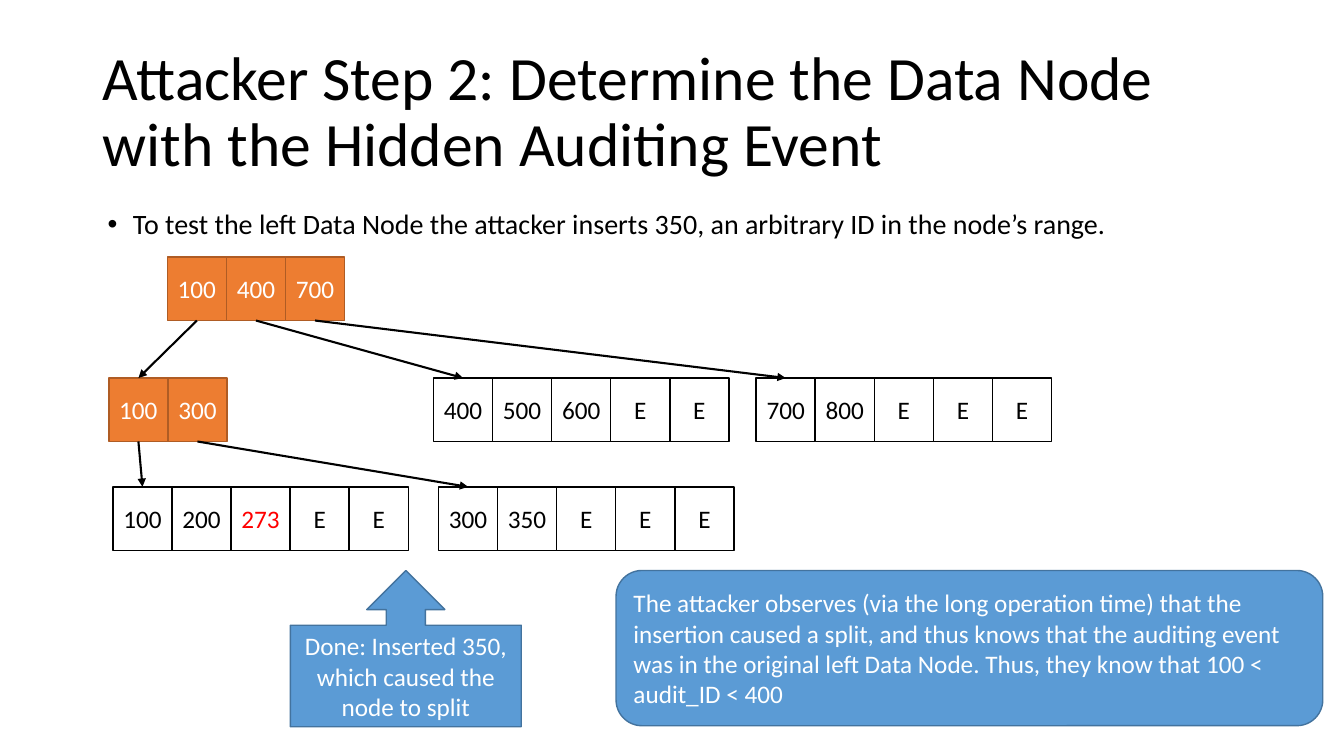
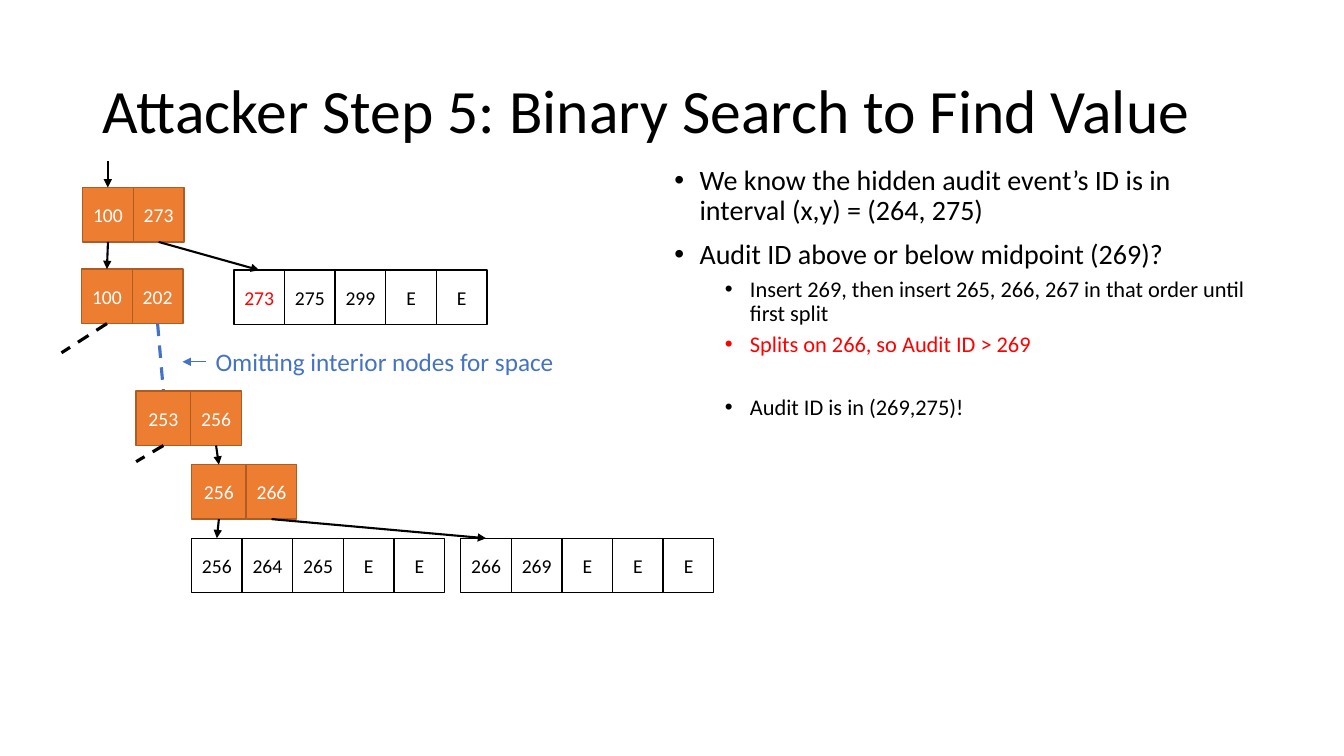
from dataclasses import dataclass

from lxml import etree
from pptx import Presentation
from pptx.dml import color
from pptx.enum import dml, shapes, text
from pptx.oxml import ns
from pptx.util import Inches, Pt

FONT = "Calibri"
BLACK, WHITE, RED = "000000", "FFFFFF", "FF0000"
ORANGE, RUST = "ED7D31", "AF5C24"
BLUE, NAVY, ROYAL = "5B9BD5", "43739E", "4472C4"
RECT = shapes.MSO_SHAPE.RECTANGLE
LEFT, CENTER = text.PP_ALIGN.LEFT, text.PP_ALIGN.CENTER
HIDDEN = "273"


@dataclass
class Scale:
    """Cell width, cell height and text size of one tree."""
    w: float
    h: float
    size: int


@dataclass
class Node:
    x: float
    y: float
    keys: str
    leaf: bool = True
    wide: float = 0  # extra width of the first cell


@dataclass
class Item:
    words: str
    level: int = 0
    tint: str = BLACK
    gap: float = 0


@dataclass
class Line:
    start: tuple[float, float]
    end: tuple[float, float]
    tint: str = BLACK
    width: float = 1.5
    dash: bool = False
    head: bool = True


def rgb(code: str) -> color.RGBColor:
    return color.RGBColor.from_string(code)


def style(para, size: float, tint: str) -> None:
    font = para.font
    font.name, font.size = FONT, Pt(size)
    font.color.rgb = rgb(tint)


def add_text(slide, box: tuple, words: str, size: float, tint: str = BLACK):
    frame = slide.shapes.add_textbox(*map(Inches, box)).text_frame
    frame.word_wrap = True
    para = frame.paragraphs[0]
    para.text = words
    style(para, size, tint)
    return frame


def add_title(slide, words: str) -> None:
    frame = add_text(slide, (0.92, 0.4, 11.5, 1.45), words, 44)
    frame.vertical_anchor = text.MSO_ANCHOR.MIDDLE
    frame.paragraphs[0].line_spacing = 0.9


def add_list(slide, box: tuple, items: list[Item]) -> None:
    frame = slide.shapes.add_textbox(*map(Inches, box)).text_frame
    frame.word_wrap = True
    for i, item in enumerate(items):
        para = frame.add_paragraph() if i else frame.paragraphs[0]
        para.text = item.words
        para.level = item.level
        props = para._p.get_or_add_pPr()
        props.set("marL", str(Inches(0.25 + 0.5 * item.level)))
        props.set("indent", str(Inches(-0.25)))
        etree.SubElement(props, ns.qn("a:buFont")).set("typeface", "Arial")
        etree.SubElement(props, ns.qn("a:buChar")).set("char", "•")
        para.line_spacing = 0.9
        if i:
            para.space_before = Pt(item.gap or (5 if item.level else 10))
        style(para, 16 if item.level else 20, item.tint)


def add_box(slide, kind, box: tuple, words: str, size: float, fill: str,
            edge: str, tint: str = WHITE, align=CENTER, wrap: bool = True) -> None:
    shape = slide.shapes.add_shape(kind, *map(Inches, box))
    shape.shadow.inherit = False
    shape.fill.solid()
    shape.fill.fore_color.rgb = rgb(fill)
    shape.line.color.rgb = rgb(edge)
    shape.line.width = Pt(1)
    frame = shape.text_frame
    frame.word_wrap = wrap
    frame.vertical_anchor = text.MSO_ANCHOR.MIDDLE
    para = frame.paragraphs[0]
    para.text = words
    para.alignment = align
    style(para, size, tint)


def add_line(slide, line: Line) -> None:
    ends = map(Inches, (*line.start, *line.end))
    link = slide.shapes.add_connector(shapes.MSO_CONNECTOR.STRAIGHT, *ends)
    link.line.color.rgb = rgb(line.tint)
    link.line.width = Pt(line.width)
    if line.dash:
        link.line.dash_style = dml.MSO_LINE.DASH
    if line.head:
        tail = etree.SubElement(link.line._get_or_add_ln(), ns.qn("a:tailEnd"))
        tail.set("type", "triangle")
    etree.SubElement(link._element.spPr, ns.qn("a:effectLst"))


def cell(node: Node, i: int, scale: Scale) -> tuple[float, float]:
    """Left edge and width of cell i."""
    if i == 0:
        return node.x, scale.w + node.wide
    return node.x + node.wide + i * scale.w, scale.w


def foot(node: Node, i: int, scale: Scale) -> tuple[float, float]:
    """Bottom centre of cell i."""
    left, width = cell(node, i, scale)
    return left + width / 2, node.y + scale.h


def add_node(slide, node: Node, scale: Scale) -> None:
    fill, edge, ink = (WHITE, BLACK, BLACK) if node.leaf else (ORANGE, RUST, WHITE)
    for i, key in enumerate(node.keys.split()):
        left, width = cell(node, i, scale)
        tint = RED if node.leaf and key == HIDDEN else ink
        add_box(slide, RECT, (left, node.y, width, scale.h), key, scale.size,
                fill, edge, tint, wrap=False)


def add_tree(slide, scale: Scale, nodes: list[Node],
             links: list[tuple[Node, int, Node]]) -> None:
    """Draw nodes, then arrows from a parent's cell to a child's first cell."""
    for node in nodes:
        add_node(slide, node, scale)
    for up, i, down in links:
        left, width = cell(down, 0, scale)
        add_line(slide, Line(foot(up, i, scale), (left + width / 2, down.y)))


def add_split(slide) -> None:
    add_title(slide, "Attacker Step 2: Determine the Data Node with the Hidden Auditing Event")
    add_list(slide, (0.97, 2.04, 11.5, 0.45), [
        Item("To test the left Data Node the attacker inserts 350, "
             "an arbitrary ID in the node’s range."),
    ])
    root = Node(1.66, 2.55, "100 400 700", leaf=False)
    inner = Node(1.08, 3.75, "100 300", leaf=False)
    mid = Node(4.3, 3.75, "400 500 600 E E")
    right = Node(7.5, 3.75, "700 800 E E E")
    low = Node(1.12, 4.83, "100 200 273 E E")
    new = Node(4.35, 4.83, "300 350 E E E")
    add_tree(slide, Scale(2.93 / 5, 0.63, 18), [root, inner, mid, right, low, new], [
        (root, 0, inner), (root, 1, mid), (root, 2, right),
        (inner, 0, low), (inner, 1, new),
    ])
    add_box(slide, shapes.MSO_SHAPE.UP_ARROW_CALLOUT, (2.88, 5.66, 2.29, 1.55),
            "Done: Inserted 350, which caused the node to split", 18, BLUE, NAVY)
    add_box(slide, shapes.MSO_SHAPE.ROUNDED_RECTANGLE, (6.11, 5.66, 7.01, 1.54),
            "The attacker observes (via the long operation time) that the insertion "
            "caused a split, and thus knows that the auditing event was in the original "
            "left Data Node. Thus, they know that 100 < audit_ID < 400",
            18, BLUE, NAVY, align=LEFT)


def add_search(slide) -> None:
    add_title(slide, "Attacker Step 5: Binary Search to Find Value")
    add_list(slide, (6.59, 1.6, 5.86, 5.31), [
        Item("We know the hidden audit event’s ID is in interval (x,y) = (264, 275)"),
        Item("Audit ID above or below midpoint (269)?"),
        Item("Insert 269, then insert 265, 266, 267 in that order until first split", 1),
        Item("Splits on 266, so Audit ID > 269", 1, RED),
        Item("Audit ID is in (269,275)!", 1, gap=27.5),
    ])
    scale = Scale(2.51 / 5, 0.54, 14)
    root = Node(0.82, 1.86, "100 273", leaf=False)
    left = Node(0.81, 2.67, "100 202", leaf=False)
    right = Node(2.32, 2.68, "273 275 299 E E")
    deep = Node(1.35, 3.88, "253 256", leaf=False, wide=0.04)
    last = Node(1.9, 4.61, "256 266", leaf=False, wide=0.04)
    low = Node(1.9, 5.34, "256 264 265 E E")
    new = Node(4.57, 5.34, "266 269 E E E")
    add_tree(slide, scale, [root, left, right, deep, last, low, new], [
        (root, 0, left), (root, 1, right), (deep, 1, last),
        (last, 0, low), (last, 1, new),
    ])
    for line in (
        Line((1.07, 1.6), (1.07, 1.86)),
        Line(foot(left, 0, scale), (0.61, 3.5), BLACK, 2.25, dash=True, head=False),
        Line(foot(left, 1, scale), (1.62, 3.87), ROYAL, 2.25, dash=True, head=False),
        Line(foot(deep, 0, scale), (1.35, 4.58), BLACK, 2.25, dash=True, head=False),
        Line((2.04, 3.59), (1.81, 3.59), ROYAL, 0.5),
    ):
        add_line(slide, line)
    add_text(slide, (2.04, 3.39, 3.66, 0.4), "Omitting interior nodes for space", 18, ROYAL)


def main() -> None:
    deck = Presentation()
    deck.slide_width, deck.slide_height = Inches(13.33), Inches(7.5)
    for build in (add_split, add_search):
        build(deck.slides.add_slide(deck.slide_layouts[6]))
    deck.save("out.pptx")


if __name__ == "__main__":
    main()
